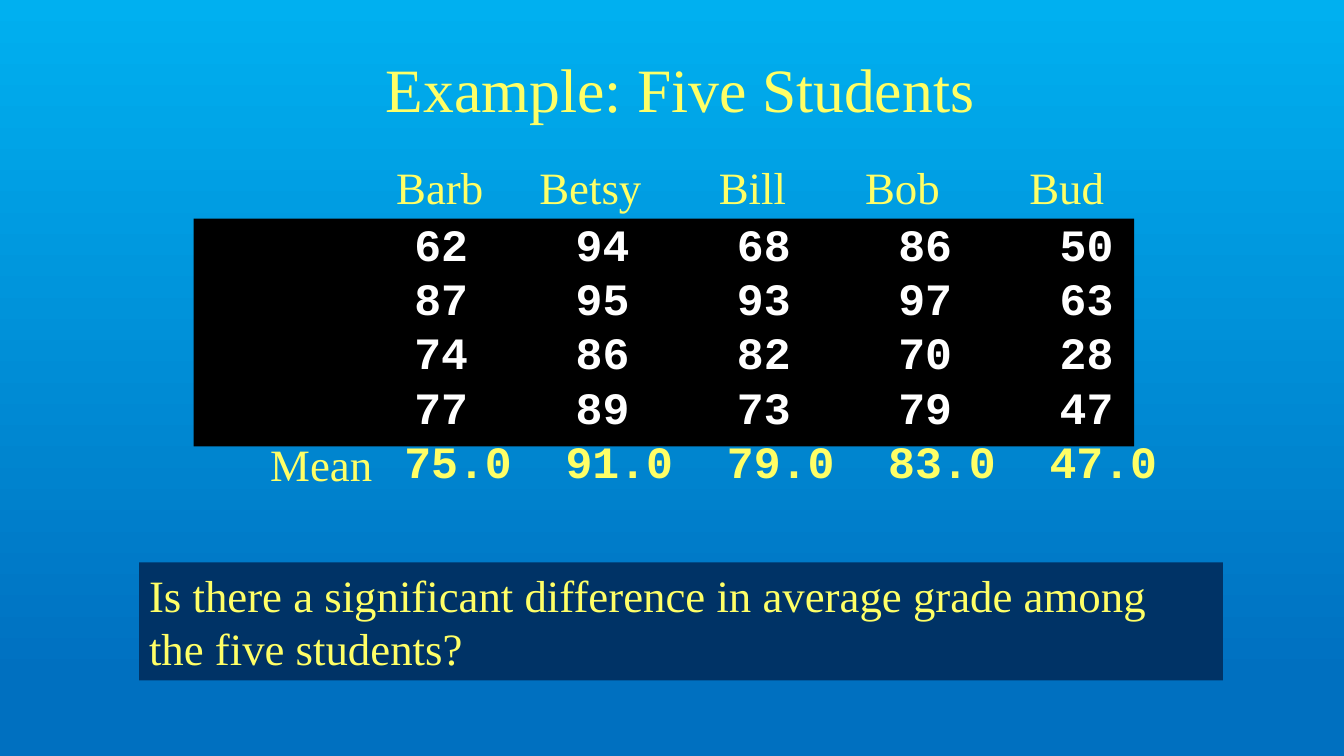
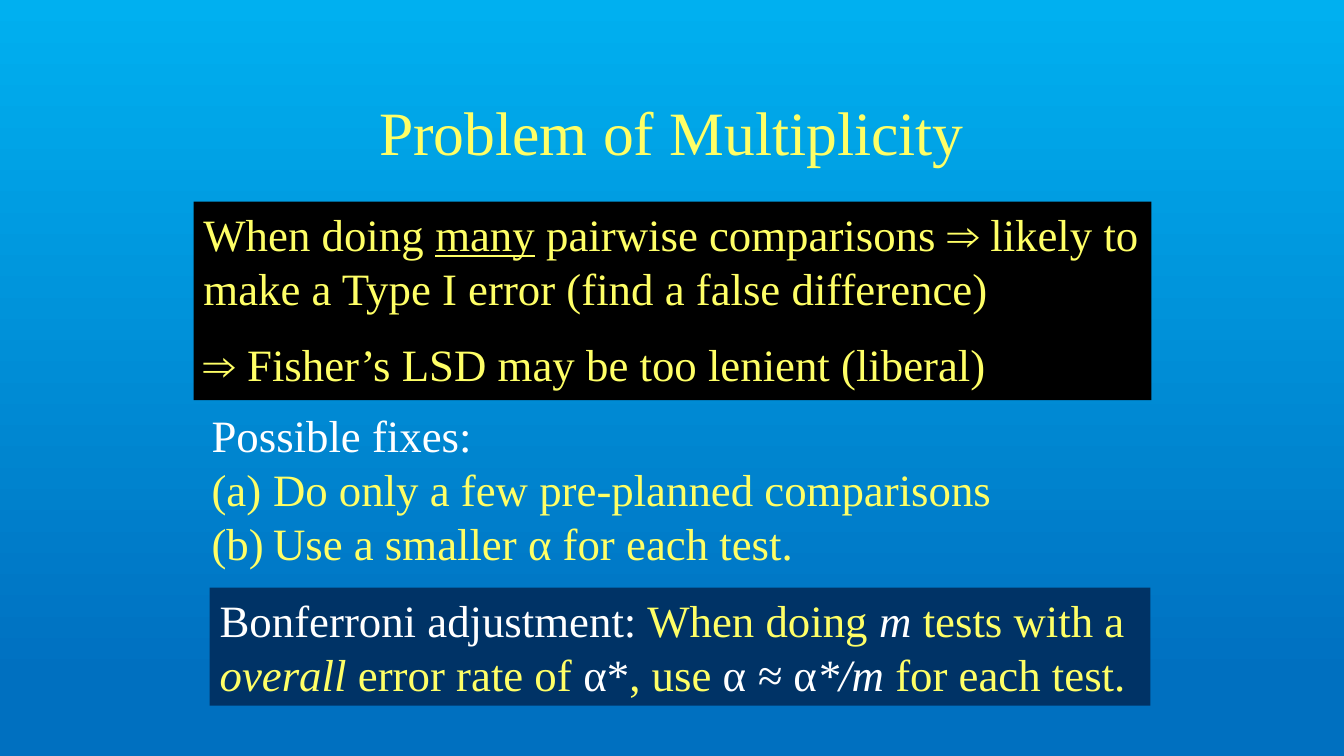
from dataclasses import dataclass

import lxml.etree
import pptx
import pptx.dml.color
import pptx.enum.shapes
import pptx.enum.text
import pptx.oxml.ns
import pptx.presentation
import pptx.shapes.base
import pptx.slide
import pptx.text.text
import pptx.util

Inches = pptx.util.Inches
Pt = pptx.util.Pt
RGBColor = pptx.dml.color.RGBColor
qn = pptx.oxml.ns.qn

YELLOW = RGBColor(0xFF, 0xFF, 0x66)
WHITE = RGBColor(0xFF, 0xFF, 0xFF)
BLACK = RGBColor(0x00, 0x00, 0x00)
NAVY = RGBColor(0x00, 0x33, 0x66)
SKY = RGBColor(0x00, 0xB0, 0xF0)
BLUE = RGBColor(0x00, 0x70, 0xC0)

SERIF = "Times New Roman"
MONO = "Courier New"
PLAIN_GRID = "{2D5ABB26-0587-4C30-8999-92F81FD0307C}"


@dataclass(frozen=True)
class Bit:
    text: str
    color: RGBColor = YELLOW
    slant: bool = False
    under: bool = False


@dataclass(frozen=True)
class Line:
    bits: tuple[Bit, ...]
    before: float = 0
    hang: float = 0
    count: bool = False


@dataclass(frozen=True)
class Box:
    left: float
    top: float
    width: float
    height: float
    fill: RGBColor | None = None


@dataclass(frozen=True)
class Row:
    height: float
    label: str
    cells: tuple[str, ...]
    shifts: tuple[float, ...]
    font: str
    color: RGBColor


NAMES = ("Barb", "Betsy", "Bill", "Bob", "Bud")
GRADES = (
    (62, 94, 68, 86, 50),
    (87, 95, 93, 97, 63),
    (74, 86, 82, 70, 28),
    (77, 89, 73, 79, 47),
)


def style(run: pptx.text.text._Run, color: RGBColor, size: float = 32,
          face: str = SERIF) -> None:
    run.font.name = face
    run.font.size = Pt(size)
    run.font.color.rgb = color
    run.font.bold = face == MONO


def paint(prs: pptx.presentation.Presentation) -> None:
    fill = prs.slide_master.background.fill
    fill.gradient()
    fill.gradient_angle = 270
    for stop, color, place in zip(fill.gradient_stops, (SKY, BLUE), (0, 0.9)):
        stop.color.rgb = color
        stop.position = place


def start(prs: pptx.presentation.Presentation, title: str, box: Box) -> pptx.slide.Slide:
    slide = prs.slides.add_slide(prs.slide_layouts[6])
    frame = place(slide, box).text_frame
    frame.text = title
    frame.word_wrap = True
    frame.vertical_anchor = pptx.enum.text.MSO_ANCHOR.MIDDLE
    frame.paragraphs[0].alignment = pptx.enum.text.PP_ALIGN.CENTER
    style(frame.paragraphs[0].runs[0], YELLOW, 44)
    return slide


def place(slide: pptx.slide.Slide, box: Box) -> pptx.shapes.base.BaseShape:
    area = [Inches(n) for n in (box.left, box.top, box.width, box.height)]
    if box.fill is None:
        return slide.shapes.add_textbox(*area)
    shape = slide.shapes.add_shape(pptx.enum.shapes.MSO_SHAPE.RECTANGLE, *area)
    shape.shadow.inherit = False
    shape.fill.solid()
    shape.fill.fore_color.rgb = box.fill
    shape.line.fill.background()
    return shape


def write(slide: pptx.slide.Slide, box: Box, *lines: Line) -> None:
    frame = place(slide, box).text_frame
    frame.word_wrap = True
    frame.vertical_anchor = pptx.enum.text.MSO_ANCHOR.TOP
    for index, line in enumerate(lines):
        para = frame.add_paragraph() if index else frame.paragraphs[0]
        para.alignment = pptx.enum.text.PP_ALIGN.LEFT
        para.space_before = Pt(line.before)
        if line.hang:
            props = para._p.get_or_add_pPr()
            props.set("marL", str(Inches(line.hang)))
            props.set("indent", str(-Inches(line.hang)))
            if line.count:
                mark = lxml.etree.SubElement(props, qn("a:buAutoNum"))
                mark.set("type", "alphaLcParenBoth")
        for bit in line.bits:
            run = para.add_run()
            run.text = bit.text
            style(run, bit.color)
            run.font.italic = bit.slant
            run.font.underline = bit.under


def tabulate(slide: pptx.slide.Slide, left: float, top: float,
             widths: list[float], rows: list[Row]) -> None:
    height = sum(row.height for row in rows)
    table = slide.shapes.add_table(
        len(rows), len(widths), Inches(left), Inches(top),
        Inches(sum(widths)), Inches(height)).table
    table.first_row = False
    table.horz_banding = False
    table._tbl.tblPr.find(qn("a:tableStyleId")).text = PLAIN_GRID
    for col, width in zip(table.columns, widths):
        col.width = Inches(width)
    for line, row in zip(table.rows, rows):
        line.height = Inches(row.height)
        texts = (row.label, *row.cells)
        faces = (SERIF,) + (row.font,) * len(row.cells)
        shifts = (0.1, *row.shifts)
        for cell, text, face, shift in zip(line.cells, texts, faces, shifts):
            cell.fill.background()
            cell.margin_left = Inches(shift)
            cell.margin_right = cell.margin_top = cell.margin_bottom = 0
            cell.text_frame.text = text
            for run in cell.text_frame.paragraphs[0].runs:
                style(run, row.color, face=face)


def show_grades(prs: pptx.presentation.Presentation) -> None:
    slide = start(prs, "Example: Five Students", Box(2.5, 0.25, 8.5, 1.25))
    place(slide, Box(1.92, 2.17, 9.33, 2.26, BLACK))
    count = len(NAMES)
    means = tuple(f"{sum(col) / len(col):.1f}" for col in zip(*GRADES))
    rows = [Row(0.59, "", NAMES, (0.18, 0, 0.18, 0.03, 0.06), SERIF, YELLOW)]
    rows += [Row(0.54, "", tuple(map(str, marks)), (0.36,) * count, MONO, WHITE)
             for marks in GRADES]
    rows.append(Row(0.55, "Mean", means, (0.26,) * count, MONO, YELLOW))
    tabulate(slide, 2.58, 1.63, [1.17] + [1.6] * count, rows)
    write(slide, Box(1.38, 5.58, 10.75, 1.17, NAVY), Line((Bit(
        "Is there a significant difference in average grade among the five students?"),)))


def show_fixes(prs: pptx.presentation.Presentation) -> None:
    slide = start(prs, "Problem of Multiplicity", Box(1, 0.67, 11.33, 1.25))
    write(
        slide, Box(1.92, 2, 9.5, 1.97, BLACK),
        Line((
            Bit("When doing "),
            Bit("many", under=True),
            Bit(" pairwise comparisons ⇒ likely to make a Type I error "
                "(find a false difference)"),
        )),
        Line((Bit("⇒ Fisher’s LSD may be too lenient (liberal)"),), before=16),
    )
    write(
        slide, Box(2, 4, 9.17, 1.72),
        Line((Bit("Possible fixes:", WHITE),), hang=0.5),
        Line((Bit("Do only a few pre-planned comparisons"),), hang=0.61, count=True),
        Line((Bit("Use a smaller α for each test."),), hang=0.61, count=True),
    )
    write(slide, Box(2.08, 5.83, 9.33, 1.17, NAVY), Line((
        Bit("Bonferroni adjustment:", WHITE),
        Bit(" When doing "),
        Bit("m", WHITE, slant=True),
        Bit(" tests with a "),
        Bit("overall", slant=True),
        Bit(" error rate of "),
        Bit("α*", WHITE),
        Bit(", use "),
        Bit("α", WHITE),
        Bit(" ≈ ", WHITE, slant=True),
        Bit("α", WHITE),
        Bit("*/m", WHITE, slant=True),
        Bit(" for each test."),
    )))


def main() -> None:
    prs = pptx.Presentation()
    prs.slide_width = Inches(13.33)
    prs.slide_height = Inches(7.5)
    paint(prs)
    show_grades(prs)
    show_fixes(prs)
    prs.save("out.pptx")


if __name__ == "__main__":
    main()
